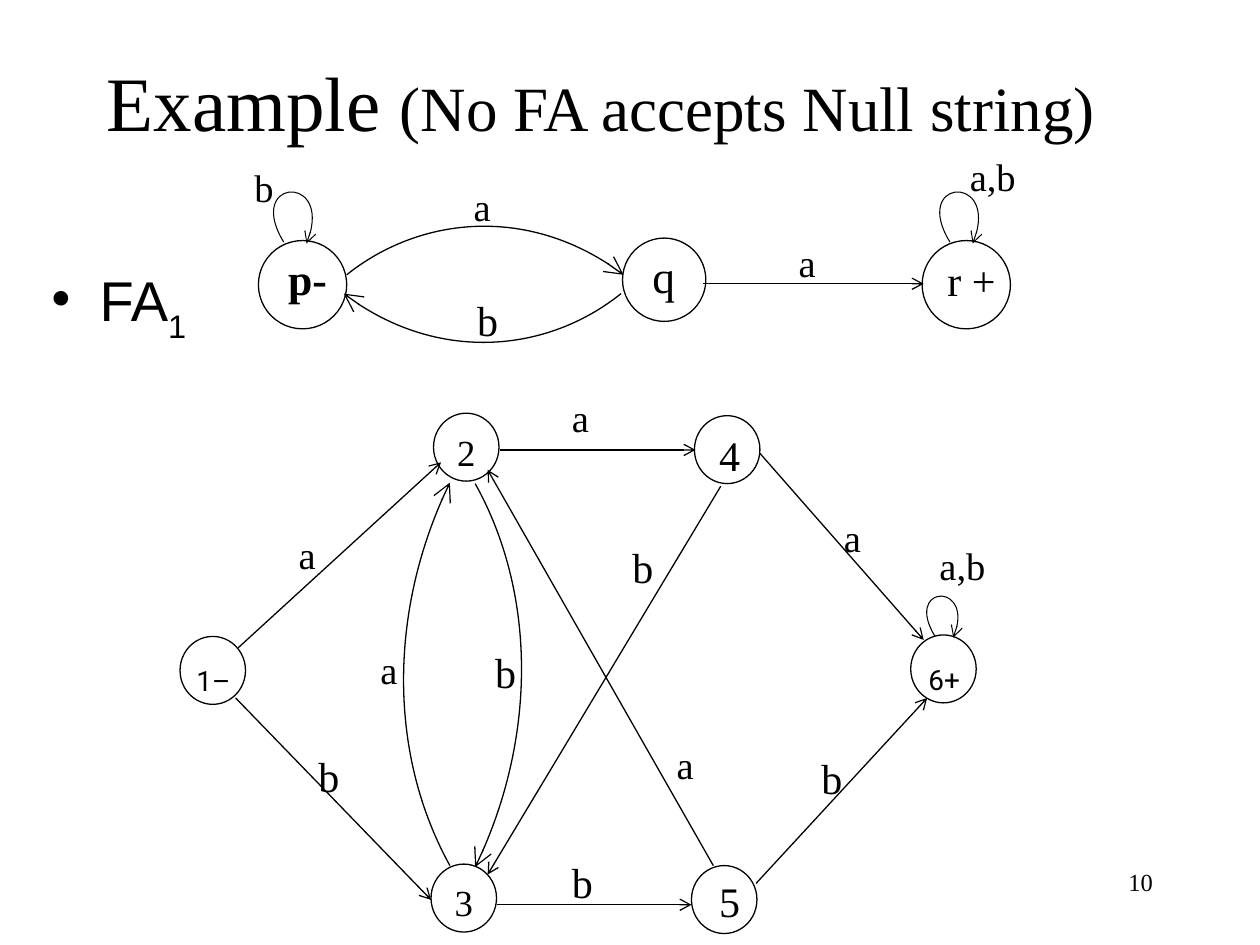
"""Build a slide with two finite automata that do not accept the null string."""
from dataclasses import dataclass

from lxml import etree
from pptx import Presentation
from pptx.dml.color import RGBColor
from pptx.enum.shapes import MSO_CONNECTOR, MSO_SHAPE
from pptx.enum.text import MSO_ANCHOR, MSO_AUTO_SIZE, PP_ALIGN
from pptx.oxml.ns import qn
from pptx.util import Cm, Pt

ELLIPSE = MSO_SHAPE.OVAL
STRAIGHT = MSO_CONNECTOR.STRAIGHT
TOP, MIDDLE = MSO_ANCHOR.TOP, MSO_ANCHOR.MIDDLE
LEFT, CENTER, RIGHT = PP_ALIGN.LEFT, PP_ALIGN.CENTER, PP_ALIGN.RIGHT
NO_FIT = MSO_AUTO_SIZE.NONE
TITLE_ONLY = 5


@dataclass(frozen=True)
class Theme:
    ink: RGBColor = RGBColor(0, 0, 0)
    paper: RGBColor = RGBColor(255, 255, 255)
    serif: str = "Times New Roman"
    sans: str = "Arial"
    state_sans: str = "Roboto"
    title: int = 44
    subtitle: int = 36
    body: int = 32
    small_state: int = 16
    state: int = 21
    a_label: int = 22
    b_label: int = 24
    p_state: int = 25
    q_state: int = 26
    page_number: int = 14
    edge: float = 0.75
    loop: float = 0.6


THEME = Theme()


@dataclass(frozen=True)
class State:
    left: float
    top: float
    width: float = 1.32
    height: float = 1.37
    text: str = ""


@dataclass(frozen=True)
class Label:
    text: str
    left: float
    top: float
    size: int = THEME.a_label
    width: float = 1.85
    height: float = 1.3
    font: str = THEME.serif
    bold: bool = False
    align: PP_ALIGN = LEFT


@dataclass(frozen=True)
class Edge:
    start: tuple[float, float]
    end: tuple[float, float]


@dataclass(frozen=True)
class Curve:
    points: tuple[tuple[float, float], ...]
    weight: float = THEME.edge
    head: str = "lg"


def loop(left: float, top: float, scale: float = 1) -> Curve:
    """Return a self-transition that starts at the given point."""
    offsets = ((0, 0), (-0.76, -1.24), (1.04, -1.4), (0.46, 0.03))
    points = tuple((left + x * scale, top + y * scale) for x, y in offsets)
    return Curve(points, THEME.loop, "med")


STATES = (
    State(5.21, 4.85, 1.78, 1.78),
    State(12.55, 4.8, 1.68, 1.68),
    State(18.59, 4.85, 1.78, 1.78),
    State(3.63, 12.83),
    State(8.74, 8.33, text="2"),
    State(8.69, 17.42, text="3"),
    State(14, 8.38),
    State(13.94, 17.45),
    State(18.36, 12.8),
)
EDGES = (
    Edge((14.17, 5.72), (18.62, 5.72)),
    Edge((10.08, 9.07), (14.02, 9.07)),
    Edge((10.01, 18.24), (13.94, 18.24)),
    Edge((4.8, 13.06), (8.89, 9.32)),
    Edge((4.75, 14.07), (8.69, 18.14)),
    Edge((15.24, 17.81), (18.69, 14.07)),
    Edge((15.32, 9.14), (18.62, 12.9)),
    Edge((14.38, 17.45), (9.83, 9.47)),
    Edge((14.53, 9.8), (9.83, 17.63)),
)
CURVES = (
    Curve(((12.52, 5.92), (11.1, 7.06), (8.79, 7.34), (6.93, 5.92))),
    Curve(((6.99, 5.54), (8.43, 4.39), (10.74, 4.14), (12.57, 5.54))),
    Curve(((9.58, 9.75), (10.8, 11.94), (10.8, 14.99), (9.58, 17.48))),
    Curve(((9.07, 17.45), (7.85, 15.24), (7.85, 12.22), (9.07, 9.73))),
    loop(5.72, 4.88),
    loop(19.15, 4.88),
    loop(18.85, 12.83, 0.8),
)
LABELS = (
    Label("p-", 5.56, 4.95, THEME.p_state, bold=True),
    Label("q", 12.9, 4.88, THEME.q_state),
    Label("r +", 18.85, 5, THEME.b_label),
    Label("b", 4.88, 3.18),
    Label("a", 9.3, 3.56),
    Label("b", 9.37, 5.82, THEME.b_label),
    Label("a", 15.85, 4.7),
    Label("a,b", 19.3, 2.97),
    Label("1–", 3.38, 13.26, THEME.small_state, height=0.9, font=THEME.state_sans, align=CENTER),
    Label("6+", 18.11, 13.24, THEME.small_state, height=0.9, font=THEME.state_sans, align=CENTER),
    Label("4", 14.25, 8.53, THEME.b_label),
    Label("5", 14.25, 17.53, THEME.b_label),
    Label("a", 5.77, 10.59),
    Label("a", 11.28, 7.82),
    Label("a", 16.76, 10.24),
    Label("a,b", 18.69, 10.8),
    Label("a", 7.42, 12.9),
    Label("a", 13.39, 14.81),
    Label("b", 6.17, 15.01, THEME.b_label),
    Label("b", 11.28, 17.15, THEME.b_label),
    Label("b", 16.31, 15.04, THEME.b_label),
    Label("b", 9.73, 12.9, THEME.b_label),
    Label("b", 12.5, 10.8, THEME.b_label),
    Label("10", 18.21, 17.35, THEME.page_number, 5.28, 1.27, align=RIGHT),
)


def add_span(para, text: str, size: int, font: str = THEME.serif, bold: bool = False):
    """Add one formatted run to a paragraph."""
    span = para.add_run()
    span.text = text
    span.font.size, span.font.name, span.font.bold = Pt(size), font, bold
    span.font.color.rgb = THEME.ink
    return span


def draw_stroke(shape, weight: float, head: str = "") -> None:
    """Give a shape its outline and, when asked, an open arrowhead."""
    shape.line.color.rgb = THEME.ink
    shape.line.width = Pt(weight)
    if head:
        outline = shape.element.spPr.find(qn("a:ln"))
        etree.SubElement(outline, qn("a:tailEnd"), type="arrow", w=head, len=head)


def add_state(page, state: State) -> None:
    """Draw a state circle."""
    circle = page.shapes.add_shape(
        ELLIPSE, Cm(state.left), Cm(state.top), Cm(state.width), Cm(state.height))
    circle.shadow.inherit = False
    circle.fill.solid()
    circle.fill.fore_color.rgb = THEME.paper
    draw_stroke(circle, THEME.edge)
    if state.text:
        circle.text_frame.vertical_anchor = TOP
        para = circle.text_frame.paragraphs[0]
        para.alignment = CENTER
        add_span(para, state.text, THEME.state)


def add_edge(page, edge: Edge) -> None:
    """Draw a straight transition."""
    line = page.shapes.add_connector(STRAIGHT, *map(Cm, edge.start + edge.end))
    draw_stroke(line, THEME.edge, "med")
    etree.SubElement(line.element.spPr, qn("a:effectLst"))


def add_curve(page, curve: Curve) -> None:
    """Draw a transition as one cubic Bézier segment."""
    start, *controls = [(Cm(x), Cm(y)) for x, y in curve.points]
    builder = page.shapes.build_freeform(*start)
    builder.add_line_segments(controls, close=False)
    arc = builder.convert_to_shape()
    arc.shadow.inherit = False
    arc.fill.background()
    draw_stroke(arc, curve.weight, curve.head)
    segments = list(arc.element.iter(qn("a:lnTo")))
    bezier = etree.SubElement(segments[0].getparent(), qn("a:cubicBezTo"))
    for segment in segments:
        bezier.append(segment[0])
        segment.getparent().remove(segment)


def add_label(page, label: Label) -> None:
    """Write a label in a text box."""
    box = page.shapes.add_textbox(
        Cm(label.left), Cm(label.top), Cm(label.width), Cm(label.height))
    box.text_frame.word_wrap = True
    para = box.text_frame.paragraphs[0]
    para.alignment = label.align
    add_span(para, label.text, label.size, label.font, label.bold)


def add_title(page) -> None:
    """Place and fill the title."""
    title = page.shapes.title
    title.left, title.top, title.width, title.height = map(Cm, (1.32, 0.43, 21.59, 3.18))
    title.text_frame.auto_size = NO_FIT
    title.text_frame.vertical_anchor = MIDDLE
    para = title.text_frame.paragraphs[0]
    para.alignment = CENTER
    add_span(para, "Example ", THEME.title)
    add_span(para, "(No FA accepts Null string)", THEME.subtitle)


def add_bullet(page) -> None:
    """Write the bulleted name of the first automaton."""
    box = page.shapes.add_textbox(Cm(0.79), Cm(5.23), Cm(22.71), Cm(11.58))
    box.text_frame.word_wrap = True
    para = box.text_frame.paragraphs[0]
    para.space_before = Pt(8)
    add_span(para, "FA", THEME.body, THEME.sans)
    index = add_span(para, "1", THEME.body, THEME.sans)
    index.font._element.set("baseline", "-30000")
    properties = para._p.get_or_add_pPr()
    properties.set("marL", str(Cm(0.97)))
    properties.set("indent", str(Cm(-0.97)))
    etree.SubElement(properties, qn("a:buChar"), char="•")


def main() -> None:
    """Assemble and save the deck."""
    deck = Presentation()
    deck.slide_width, deck.slide_height = Cm(25.4), Cm(19.05)
    page = deck.slides.add_slide(deck.slide_layouts[TITLE_ONLY])
    add_title(page)
    add_bullet(page)
    for draw, items in ((add_state, STATES), (add_edge, EDGES),
                        (add_curve, CURVES), (add_label, LABELS)):
        for item in items:
            draw(page, item)
    deck.save("out.pptx")


if __name__ == "__main__":
    main()
